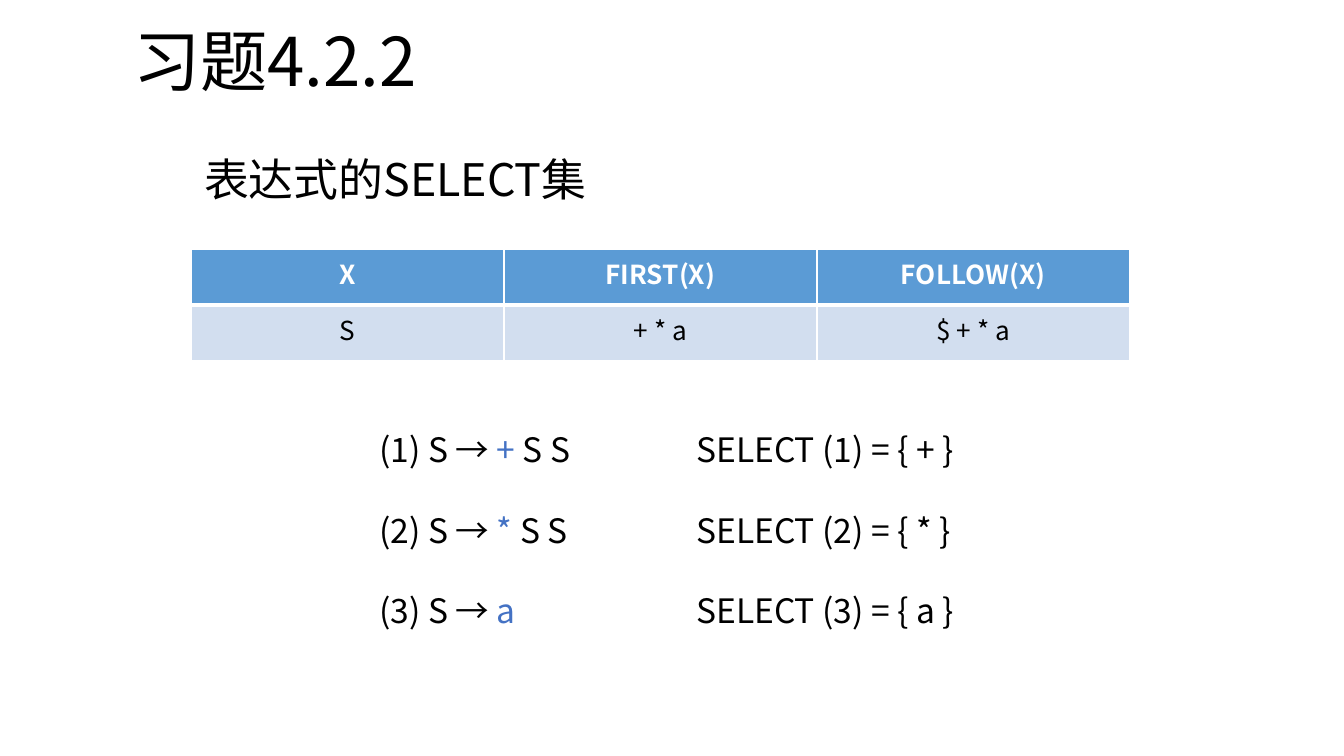
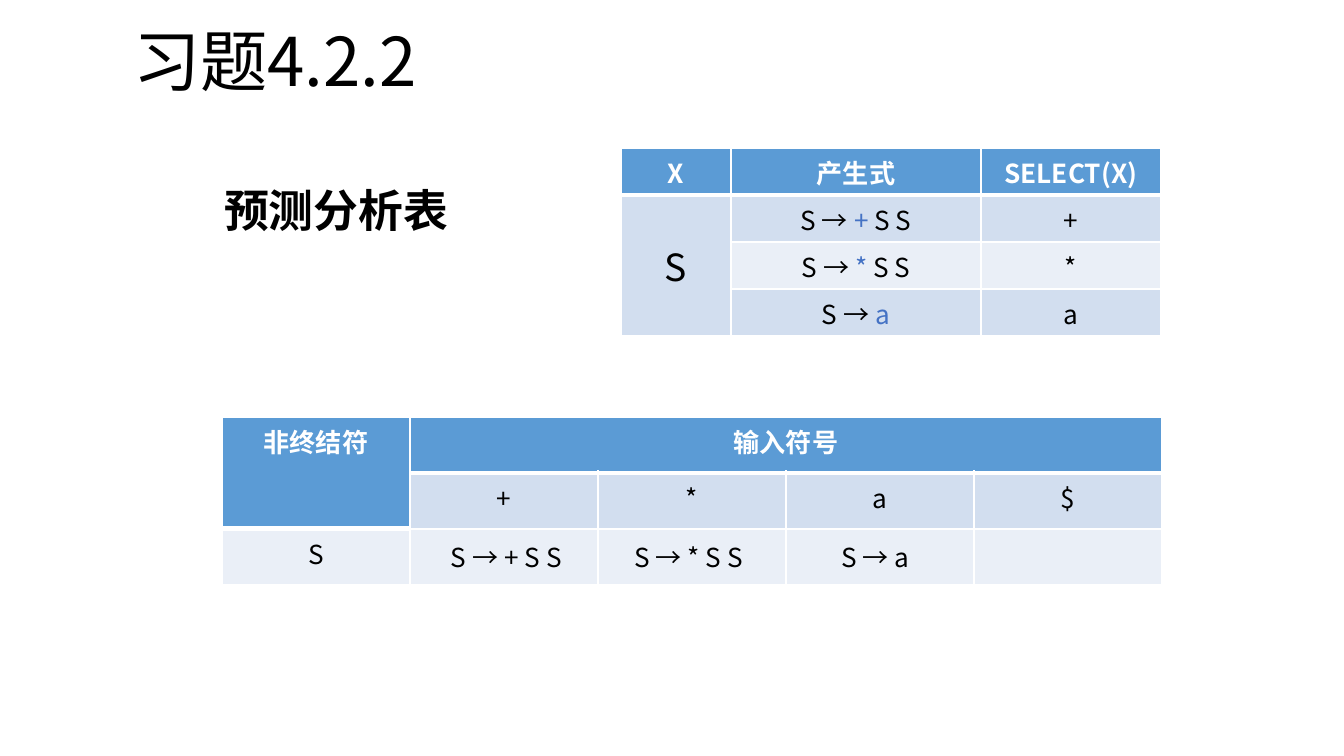
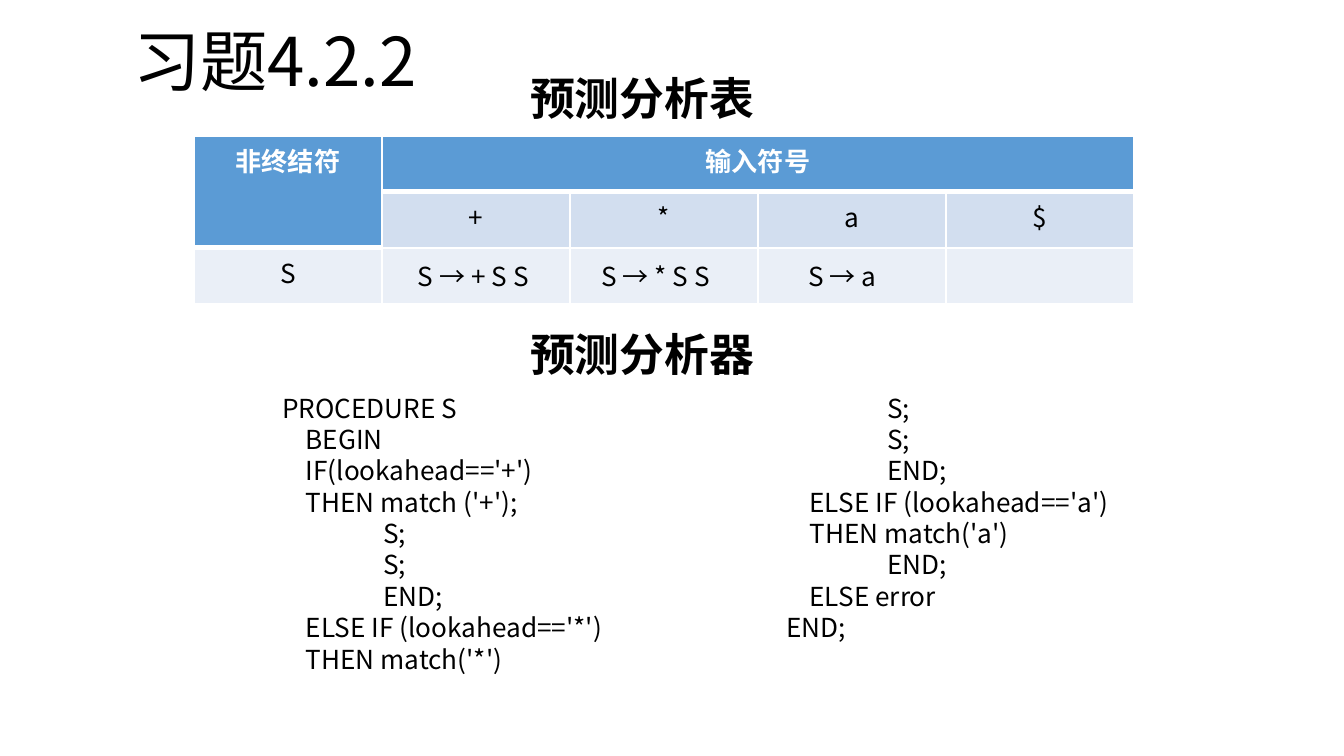
import pptx
import pptx.util
import pptx.dml.color
import pptx.enum.text
import pptx.oxml.ns
import lxml.etree

SCALE = 6804
FONT = "Noto Sans CJK SC"
BLACK, WHITE, BLUE = "000000", "FFFFFF", "4472C4"
HEAD, DARK, PALE = "5B9BD5", "D2DEEF", "EAEFF7"
LEFT = pptx.enum.text.PP_ALIGN.LEFT
MID = pptx.enum.text.PP_ALIGN.CENTER
qn = pptx.oxml.ns.qn
tint = pptx.dml.color.RGBColor.from_string


def write(frame, lines, size, bold=False, color=BLACK, align=LEFT, lead=None, gap=0):
    frame.word_wrap = True
    frame.text = "\n".join(line.replace("|", "") for line in lines)
    for row, (para, line) in enumerate(zip(frame.paragraphs, lines)):
        if "\t" in line:
            tabs = lxml.etree.SubElement(para._p.get_or_add_pPr(), qn("a:tabLst"))
            lxml.etree.SubElement(tabs, qn("a:tab"), pos=str(101 * SCALE), algn="l")
        para.alignment = align
        para.line_spacing = pptx.util.Pt(lead or size * 1.2)
        if row and gap:
            para.space_before = pptx.util.Pt(gap)
        if "|" in line:
            para.clear()
            for part in line.split("|"):
                para.add_run().text = part
        for turn, run in enumerate(para.runs):
            run.font.size = pptx.util.Pt(size)
            run.font.bold = bold
            run.font.color.rgb = tint(BLUE if turn == 1 else color)
            run.font.name = FONT
            lxml.etree.SubElement(run._r.get_or_add_rPr(), qn("a:ea"), typeface=FONT)


deck = pptx.Presentation()
deck.slide_width = 1344 * SCALE
deck.slide_height = 756 * SCALE
pages = [deck.slides.add_slide(deck.slide_layouts[6]) for page in range(3)]

sets = [["X", "FIRST(X)", "FOLLOW(X)"], ["S", "+ * a", "$ + * a"]]
rules = [
    ["X", "产生式", "SELECT(X)"],
    ["S", "S → |+| S S", "+"],
    ["", "S → |*| S S", "*"],
    ["", "S → |a", "a"],
]
parse = [
    ["非终结符", "输入符号", "", "", ""],
    ["", "+", "*", "a", "$"],
    ["S", "", "", "", ""],
]
spans = [(0, 0, 1, 0), (0, 1, 0, 4)]
grids = [
    (0, 191, 249, [313] * 3, 56, sets, []),
    (1, 621, 148, [110, 250, 180], 47, rules, [(1, 0, 3, 0)]),
    (1, 222, 417, [188] * 5, 56, parse, spans),
    (2, 194, 136, [188] * 5, 56, parse, spans),
]
for page, x, y, cols, high, rows, joins in grids:
    frame = pages[page].shapes.add_table(
        len(rows), len(cols), x * SCALE, y * SCALE,
        sum(cols) * SCALE, high * len(rows) * SCALE)
    table = frame.table
    for col, wide in zip(table.columns, cols):
        col.width = wide * SCALE
    for r, row in enumerate(rows):
        table.rows[r].height = high * SCALE
        for c, text in enumerate(row):
            cell = table.cell(r, c)
            tall = rows is rules and r > 0 and c == 0
            head = r == 0 or (rows is parse and r == 1 and c == 0)
            cell.margin_top = 12 * SCALE
            cell.margin_bottom = 3 * SCALE
            write(cell.text_frame, [text], 20 if tall else 14, head,
                  WHITE if head else BLACK, MID)
            for side in "LRTB":
                wide = 3 if head and side == "B" else 1
                line = lxml.etree.SubElement(
                    cell._tc.get_or_add_tcPr(), qn("a:ln" + side),
                    w=str(pptx.util.Pt(wide)))
                fill = lxml.etree.SubElement(line, qn("a:solidFill"))
                lxml.etree.SubElement(fill, qn("a:srgbClr"), val=WHITE)
            cell.fill.solid()
            shade = DARK if r % 2 or tall else PALE
            cell.fill.fore_color.rgb = tint(HEAD if head else shade)
            if tall:
                cell.vertical_anchor = pptx.enum.text.MSO_ANCHOR.MIDDLE
    for top, left, low, right in joins:
        table.cell(top, left).merge(table.cell(low, right))

prods = ["(1) S → |+| S S", "(2) S → |*| S S", "(3) S → |a"]
picks = ["SELECT (1) = { + }", "SELECT (2) = { * }", "SELECT (3) = { a }"]
first = [
    "PROCEDURE S",
    "    BEGIN",
    "    IF(lookahead=='+')",
    "    THEN match ('+');",
    "\tS;",
    "\tS;",
    "\tEND;",
    "    ELSE IF (lookahead=='*')",
    "    THEN match('*')",
]
last = [
    "\tS;",
    "\tS;",
    "\tEND;",
    "    ELSE IF (lookahead=='a')",
    "    THEN match('a')",
    "\tEND;",
    "    ELSE error",
    "END;",
]
title = dict(size=36, lead=38)
bold = dict(size=24, bold=True)
pair = dict(size=18, gap=21.6)
small = dict(size=14)
notes = [(page, 120, 16, 1078, 157, ["习题4.2.2"], title) for page in range(3)]
notes += [
    (0, 191, 141, 509, 67, ["表达式的SELECT集"], dict(size=24)),
    (0, 366, 419, 317, 216, prods, pair),
    (0, 683, 419, 317, 216, picks, pair),
    (1, 211, 172, 444, 67, ["预测分析表"], bold),
    (2, 517, 60, 444, 67, ["预测分析表"], bold),
    (2, 517, 316, 444, 67, ["预测分析器"], bold),
    (2, 269, 383, 374, 331, first, small),
    (2, 773, 383, 362, 298, last, small),
]
for page, x, y in [(1, 222, 532), (2, 189, 251)]:
    notes += [
        (page, x + 201, y, 167, 46, ["S → + S S"], dict(size=14, align=MID)),
        (page, x + 399, y, 142, 46, ["S → * S S"], small),
        (page, x + 606, y, 144, 46, ["S → a"], small),
    ]
for page, x, y, wide, high, lines, style in notes:
    box = pages[page].shapes.add_textbox(
        x * SCALE, y * SCALE, wide * SCALE, high * SCALE)
    box.text_frame.margin_top = (7 + style["size"] // 6) * SCALE
    write(box.text_frame, lines, **style)

deck.save("out.pptx")
